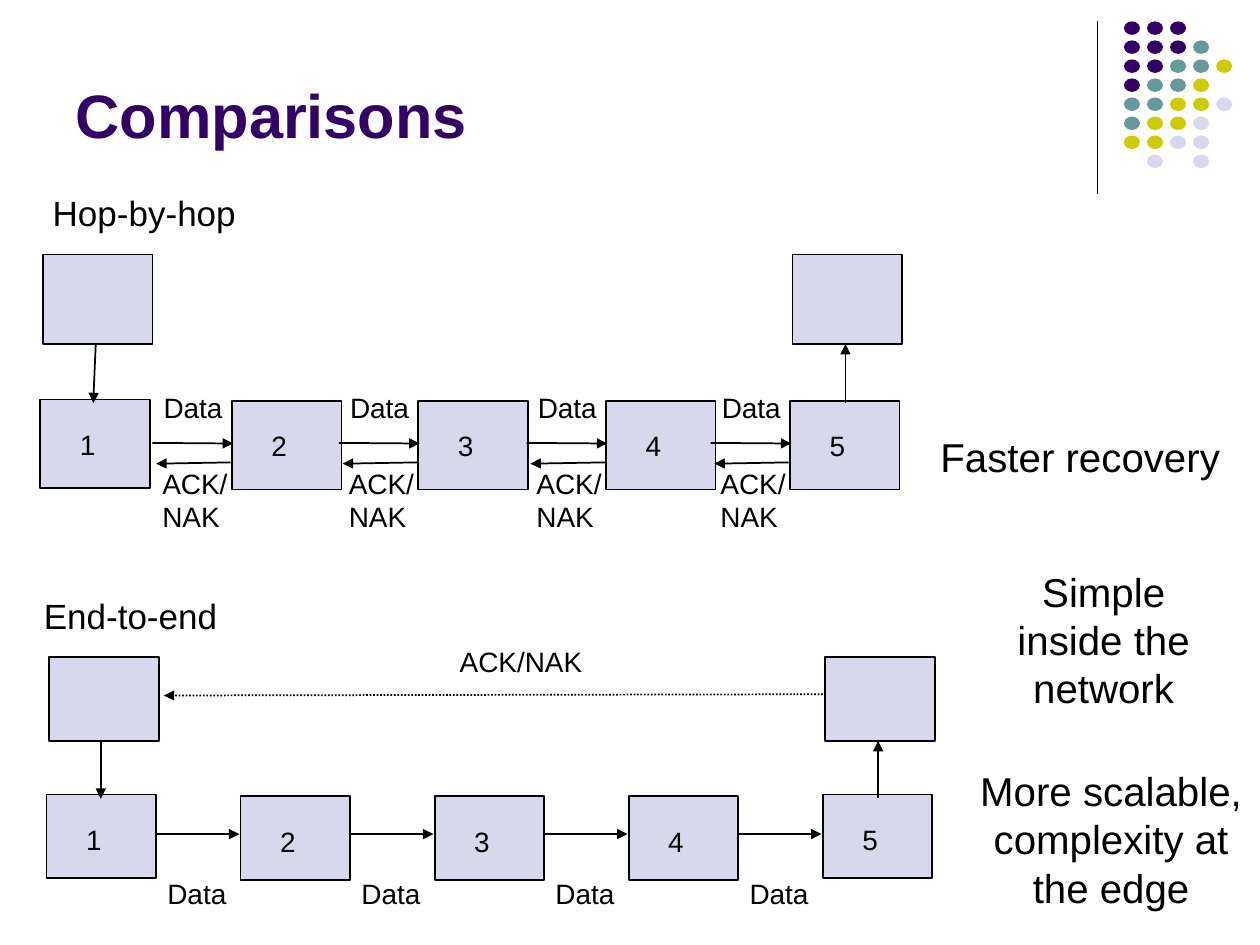
from dataclasses import dataclass

from lxml import etree
from pptx import Presentation
from pptx.dml.color import RGBColor
from pptx.enum.dml import MSO_LINE
from pptx.enum.shapes import MSO_CONNECTOR, MSO_SHAPE
from pptx.enum.text import MSO_ANCHOR, MSO_AUTO_SIZE, PP_ALIGN
from pptx.oxml.ns import qn
from pptx.util import Inches, Pt

STRAIGHT = MSO_CONNECTOR.STRAIGHT
RECTANGLE = MSO_SHAPE.RECTANGLE
OVAL = MSO_SHAPE.OVAL
DOTTED = MSO_LINE.ROUND_DOT
TOP = MSO_ANCHOR.TOP
BOTTOM = MSO_ANCHOR.BOTTOM
GROW = MSO_AUTO_SIZE.SHAPE_TO_FIT_TEXT
FIXED = MSO_AUTO_SIZE.NONE
LEFT = PP_ALIGN.LEFT
CENTER = PP_ALIGN.CENTER
TITLE_ONLY = 5
COLUMNS = 100
ROWS = 75
BOX_WIDTH = 8.7

DOT_ROWS = ["PPP", "PPPT", "PPTTY", "PTTY", "TTYYL", "TYYL", "YYLL", " L L"]


@dataclass(frozen=True)
class Theme:
    font: str = "Arial"
    ink: RGBColor = RGBColor.from_string("000000")
    purple: RGBColor = RGBColor.from_string("330066")
    teal: RGBColor = RGBColor.from_string("669999")
    yellow: RGBColor = RGBColor.from_string("CCCC00")
    lavender: RGBColor = RGBColor.from_string("D8D8EC")
    title_size: int = 35
    remark_size: int = 23
    heading_size: int = 20
    label_size: int = 16


def apply_formats(target, formats):
    for name, value in formats.items():
        setattr(target, name, value)


class SlideBuilder:
    def __init__(self, presentation, theme):
        self.theme = theme
        self.slide = presentation.slides.add_slide(
            presentation.slide_layouts[TITLE_ONLY])
        self.shapes = self.slide.shapes
        self.column = presentation.slide_width / COLUMNS
        self.row = presentation.slide_height / ROWS

    def place(self, left, top, width, height):
        return (round(left * self.column), round(top * self.row),
                round(width * self.column), round(height * self.row))

    def start_group(self):
        self.shapes = self.slide.shapes.add_group_shape().shapes

    def end_group(self):
        self.shapes = self.slide.shapes

    def fill_text(self, shape, text, size, color, bold=False, align=LEFT,
                  anchor=TOP, fit=GROW):
        frame = shape.text_frame
        frame.text = text
        apply_formats(frame, {"word_wrap": True, "auto_size": fit,
                              "vertical_anchor": anchor})
        paragraph = frame.paragraphs[0]
        paragraph.alignment = align
        apply_formats(paragraph.font, {"name": self.theme.font, "bold": bold,
                                       "size": Pt(size)})
        paragraph.font.color.rgb = color

    def title(self, text, *area):
        shape = self.slide.shapes.title
        left, top, width, height = self.place(*area)
        apply_formats(shape, {"left": left, "top": top, "width": width,
                              "height": height})
        self.fill_text(shape, text, self.theme.title_size, self.theme.purple,
                       bold=True, anchor=BOTTOM, fit=FIXED)

    def text(self, text, *area, size=None, **formats):
        shape = self.shapes.add_textbox(*self.place(*area))
        self.fill_text(shape, text, size or self.theme.label_size,
                       self.theme.ink, **formats)

    def heading(self, text, left, top):
        self.text(text, left, top, 38.3, 4.4, size=self.theme.heading_size)

    def remark(self, text, *area):
        self.text(text, *area, size=self.theme.remark_size, align=CENTER,
                  anchor=BOTTOM)

    def filled(self, preset, color, *area):
        shape = self.shapes.add_shape(preset, *self.place(*area))
        shape.shadow.inherit = False
        shape.fill.solid()
        shape.fill.fore_color.rgb = color
        shape.line.fill.background()
        return shape

    def box(self, left, top, height):
        shape = self.filled(RECTANGLE, self.theme.lavender, left, top,
                            BOX_WIDTH, height)
        shape.line.color.rgb = self.theme.ink
        shape.line.width = Pt(1)

    def station(self, number, left, top, height):
        self.box(left, top, height)
        self.text(str(number), left + 2.15, top + 1.75, 6.8, 3.7)

    def line(self, start, end, width=1, arrow=True, dash=None):
        connector = self.shapes.add_connector(
            STRAIGHT, *self.place(*start, *end))
        connector.line.color.rgb = self.theme.ink
        apply_formats(connector.line, {"width": Pt(width),
                                       "dash_style": dash})
        properties = connector._element.spPr
        if arrow:
            outline = properties.find(qn("a:ln"))
            etree.SubElement(outline, qn("a:tailEnd"), type="triangle")
        etree.SubElement(properties, qn("a:effectLst"))

    def dots(self, left, top):
        theme = self.theme
        colors = {"P": theme.purple, "T": theme.teal, "Y": theme.yellow,
                  "L": theme.lavender}
        self.start_group()
        for row, codes in enumerate(DOT_ROWS):
            for column, code in enumerate(codes):
                if code in colors:
                    self.filled(OVAL, colors[code], left + 1.83 * column,
                                top + 1.51 * row, 1.27, 1.07)
        self.end_group()


def draw_hop_by_hop(builder):
    stations = [3.2, 18.4, 33.2, 48.1, 62.7]
    builder.start_group()
    builder.heading("Hop-by-hop", 3.2, 14.7)
    for left in (3.4, 62.9):
        builder.box(left, 20.2, 7.1)
    for number, left in enumerate(stations, 1):
        builder.station(number, left, 31.7 if number == 1 else 31.8, 7.05)
    for left in stations[1:]:
        builder.text("Data", left - 6.4, 30.5, 8.2, 3.7)
        builder.text("ACK/NAK", left - 6.5, 36.5, 8.3, 6.4)
        builder.line((left - 6.3, 35.15), (left + 0.1, 35.2))
        builder.line((left - 0.1, 36.7), (left - 6, 36.8))
    builder.line((7.6, 27.3), (7.4, 32))
    builder.line((67.1, 32), (67.1, 27.3))
    builder.end_group()


def draw_end_to_end(builder):
    stations = [3.7 + 15.4 * index for index in range(5)]
    builder.heading("End-to-end", 2.5, 46.7)
    for left in (3.9, 65.5):
        builder.box(left, 52.15, 6.65)
    for number, left in enumerate(stations, 1):
        builder.station(number, left, 63.05 if number in (1, 5) else 63.2, 6.65)
    for left in stations[:-1]:
        builder.text("Data", left + 8.6, 69.1, 8.2, 3.7)
        builder.line((left + 8.6, 66.2), (left + 15.3, 66.2))
    builder.text("ACK/NAK", 35.5, 50.7, 14.9, 3.7)
    builder.line((65.3, 55.1), (13, 55.2), dash=DOTTED)
    builder.line((8, 58.9), (8, 63.4))
    builder.line((69.7, 63.3), (69.7, 58.8))


def main():
    presentation = Presentation()
    apply_formats(presentation, {"slide_width": Inches(10),
                                 "slide_height": Inches(7.5)})
    builder = SlideBuilder(presentation, Theme())
    builder.line((87.1, 1.7), (87.1, 15.4), width=0.75, arrow=False)
    builder.dots(89.2, 1.7)
    builder.title("Comparisons", 5, 1.3, 82.5, 11.2)
    draw_hop_by_hop(builder)
    draw_end_to_end(builder)
    builder.remark("Faster recovery", 72.5, 33.7, 26.5, 4.9)
    builder.remark("Simple inside the network", 78.5, 44.5, 18.2, 12.5)
    builder.remark("More scalable, complexity at the edge",
                   76.4, 60.3, 23.6, 12.5)
    presentation.save("out.pptx")


if __name__ == "__main__":
    main()
